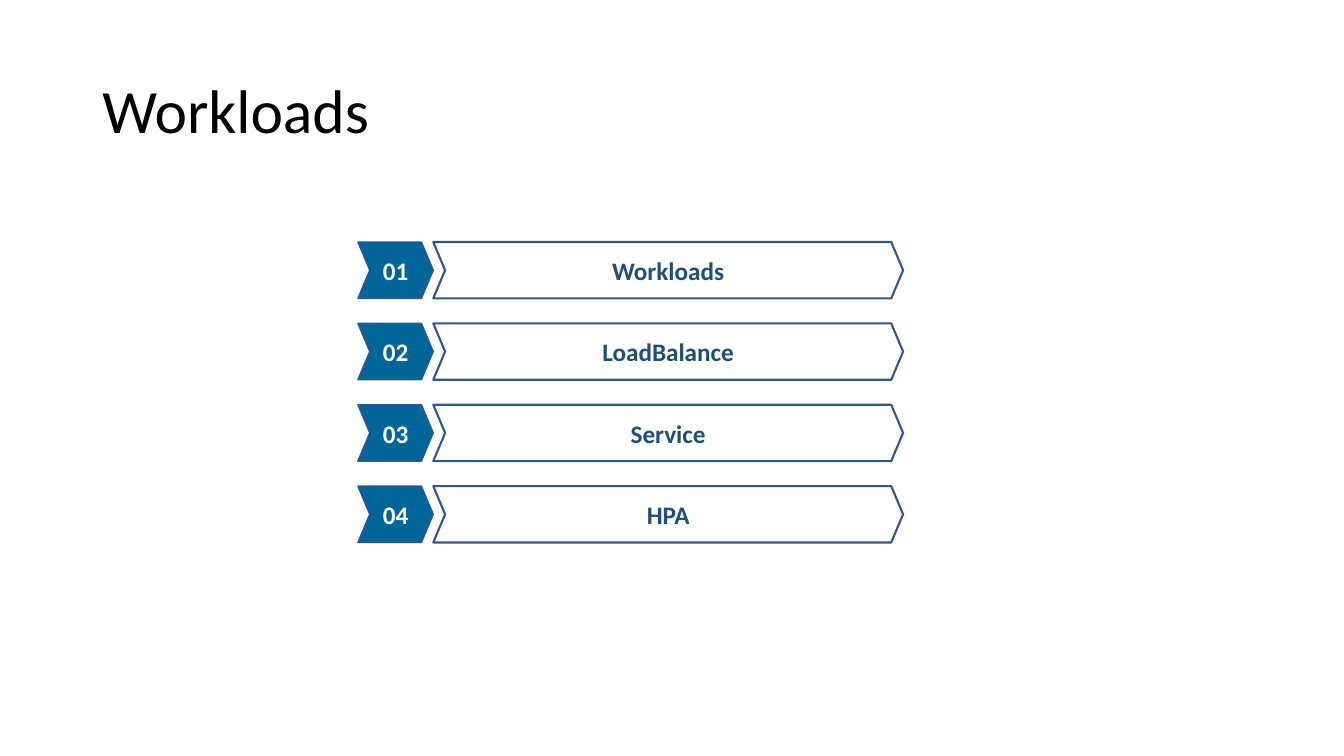
from pptx import Presentation
from pptx.dml.color import RGBColor
from pptx.enum.shapes import MSO_SHAPE
from pptx.enum.text import MSO_ANCHOR, PP_ALIGN
from pptx.util import Cm, Pt

COLORS = {
    "title": "000000",
    "number_fill": "006699",
    "number_text": "FFFFFF",
    "outline": "325491",
    "topic_text": "1F4E79",
}
TOPICS = ["Workloads", "LoadBalance", "Service", "HPA"]
FIRST_TOP = 6.1
ROW_PITCH = 2.05
ROW_HEIGHT = 1.42
NUMBER_LEFT = 9.02
NUMBER_WIDTH = 1.9
TOPIC_WIDTH = 11.84


def color(name):
    return RGBColor.from_string(COLORS[name])


def set_text(box, text, size, color_name, bold=False, align=PP_ALIGN.LEFT):
    frame = box.text_frame
    frame.word_wrap = True
    frame.vertical_anchor = MSO_ANCHOR.MIDDLE
    para = frame.paragraphs[0]
    para.text = text
    para.alignment = align
    span = para.runs[0]
    span.font.name = "Calibri"
    span.font.size = Pt(size)
    span.font.bold = bold
    span.font.color.rgb = color(color_name)
    return para


def add_title(page, text):
    box = page.shapes.add_textbox(Cm(2.33), Cm(1.01), Cm(29.21), Cm(3.68))
    para = set_text(box, text, 44, "title")
    para.line_spacing = 0.9


def add_chevron(page, left, top, width, text, text_color, line_width, fill=None):
    box = page.shapes.add_shape(
        MSO_SHAPE.CHEVRON, Cm(left), Cm(top), Cm(width), Cm(ROW_HEIGHT)
    )
    box.adjustments[0] = 0.21
    box.shadow.inherit = False
    if fill:
        box.fill.solid()
        box.fill.fore_color.rgb = color(fill)
    else:
        box.fill.background()
    box.line.color.rgb = color("outline")
    box.line.width = Pt(line_width)
    set_text(box, text, 18, text_color, bold=True, align=PP_ALIGN.CENTER)


def add_topic(page, index, topic):
    top = FIRST_TOP + index * ROW_PITCH
    add_chevron(page, NUMBER_LEFT, top, NUMBER_WIDTH, f"{index + 1:02d}",
                "number_text", 1, "number_fill")
    add_chevron(page, NUMBER_LEFT + NUMBER_WIDTH, top, TOPIC_WIDTH, topic,
                "topic_text", 1.5)


def main():
    deck = Presentation()
    deck.slide_width = Cm(33.87)
    deck.slide_height = Cm(19.05)
    page = deck.slides.add_slide(deck.slide_layouts[6])
    add_title(page, "Workloads")
    for index, topic in enumerate(TOPICS):
        add_topic(page, index, topic)
    deck.save("out.pptx")


if __name__ == "__main__":
    main()
